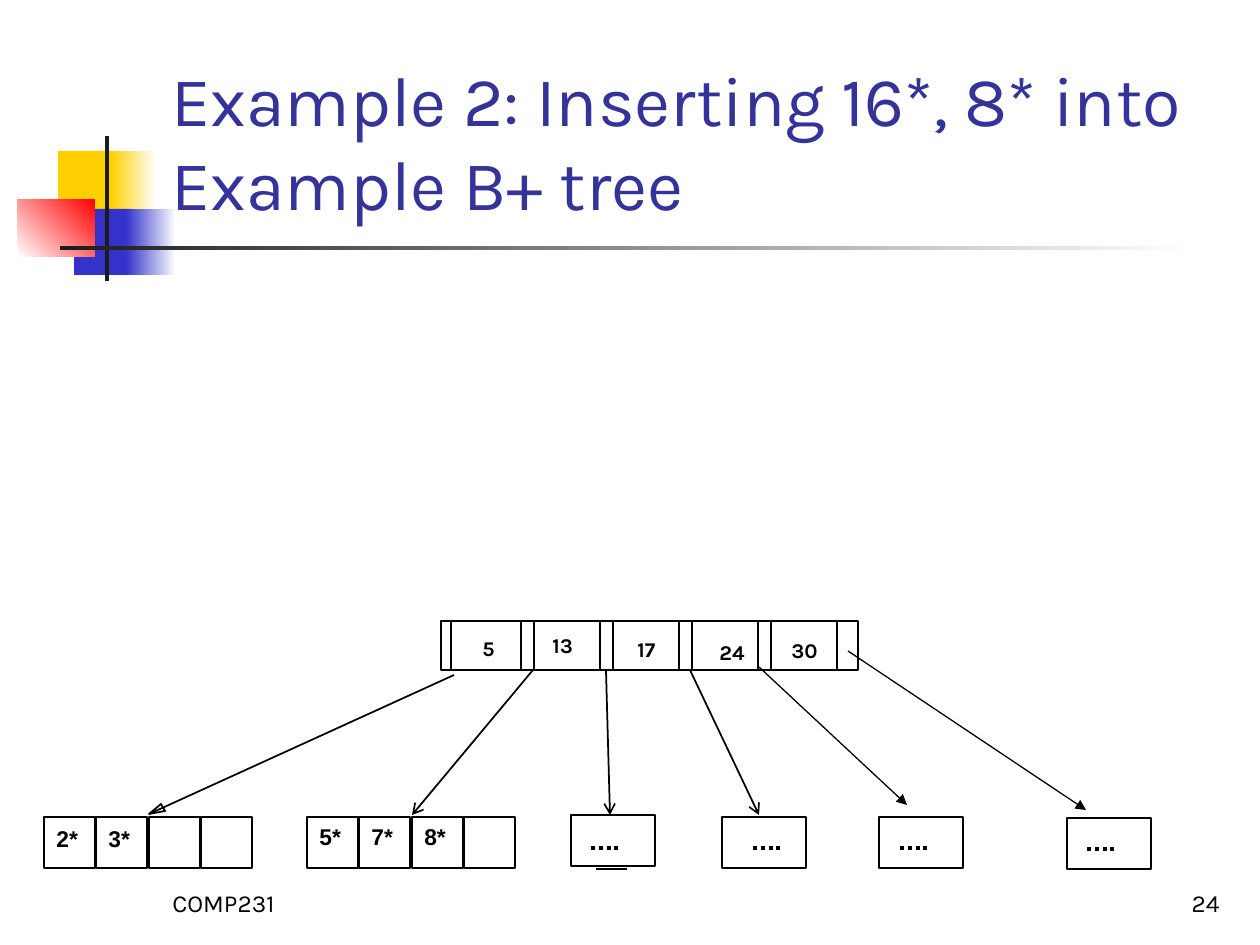
from lxml import etree
from pptx import Presentation
from pptx import util as u
from pptx.dml.color import RGBColor
from pptx.enum import dml, shapes, text
from pptx.oxml.ns import qn

EMU_PER_PX = 914400 / 126
COLORS = {
    "white": "FFFFFF", "black": "000000", "ink": "1C1C1C", "title": "333399",
    "yellow": "FFCF01", "blue": "3333CC", "red": "FF0000",
}
CELL = 51


def px(length):
    return u.Emu(round(length * EMU_PER_PX))


def rgb(name):
    return RGBColor.from_string(COLORS[name])


def add_text(slide, words, left, top, width, height, *, size, font="Karla", color="black",
             bold=False, align=text.PP_ALIGN.LEFT, anchor=text.MSO_ANCHOR.TOP, wrap=True):
    frame = slide.shapes.add_textbox(px(left), px(top), px(width), px(height)).text_frame
    frame.word_wrap = wrap
    frame.vertical_anchor = anchor
    paragraph = frame.paragraphs[0]
    paragraph.alignment = align
    run = paragraph.add_run()
    run.text = words
    run.font.size = u.Pt(size)
    run.font.name = font
    run.font.bold = bold
    run.font.color.rgb = rgb(color)


def add_box(slide, left, top, width, height, *, fill=None, fade=None, angle=0, line=None):
    box = slide.shapes.add_shape(shapes.MSO_SHAPE.RECTANGLE,
                                 px(left), px(top), px(width), px(height))
    box.shadow.inherit = False
    if fade:
        box.fill.gradient()
        box.fill.gradient_angle = angle
        for stop, name in zip(box.fill.gradient_stops, fade):
            stop.color.rgb = rgb(name)
    elif fill:
        box.fill.solid()
        box.fill.fore_color.rgb = rgb(fill)
    else:
        box.fill.background()
    if line:
        box.line.width = u.Pt(line)
        box.line.color.rgb = rgb("black")
    else:
        box.line.fill.background()


def add_line(slide, start, end, *, width=1, head=None, dash=None):
    line = slide.shapes.add_connector(shapes.MSO_CONNECTOR.STRAIGHT,
                                      *map(px, start + end))
    line.line.width = u.Pt(width)
    line.line.color.rgb = rgb("black")
    if dash:
        line.line.dash_style = dash
    properties = line._element.spPr
    if head:
        etree.SubElement(properties.find(qn("a:ln")), qn("a:tailEnd"), type=head)
    etree.SubElement(properties, qn("a:effectLst"))


def add_open_head(slide, points):
    builder = slide.shapes.build_freeform(*points[0], scale=EMU_PER_PX)
    builder.add_line_segments(points[1:], close=True)
    head = builder.convert_to_shape()
    head.shadow.inherit = False
    head.fill.background()
    head.line.width = u.Pt(1)
    head.line.color.rgb = rgb("black")


def add_decoration(slide):
    add_box(slide, 58, 151, 60, 66, fill="yellow")
    add_box(slide, 111, 151, 45, 66, fade=("yellow", "white"))
    add_box(slide, 74, 209, 58, 66, fill="blue")
    add_box(slide, 126, 209, 50, 66, fade=("blue", "white"))
    add_box(slide, 18, 199, 77, 58, fade=("white", "red"), angle=45)
    add_box(slide, 105, 136, 4, 145, fill="ink")
    add_box(slide, 60, 246, 1134, 4, fade=("ink", "white"))


def add_root(slide):
    top, height = 621, 49
    add_box(slide, 441, top, 417, height, fill="white", line=0.75)
    key_ends = [521 + 79 * i for i in range(5)]
    key_starts = [451] + [end + 13 for end in key_ends[:-1]]
    for x in sorted(key_starts + key_ends):
        add_line(slide, (x, top), (x, top + height), width=0.75)
    for key, left, key_top in [("5", 470, 629), ("13", 540, 626), ("17", 625, 630),
                               ("24", 707, 633), ("30", 779, 631)]:
        add_text(slide, key, left, key_top, 79, 38, size=12, bold=True)


def add_leaf(slide, left, entries, label_drop=0):
    top = 817
    for i in range(4):
        cell_left = left + 105 * i // 2
        add_box(slide, cell_left, top, CELL, CELL, line=1)
        if i < len(entries):
            add_text(slide, entries[i], cell_left, top + label_drop, 47, 39,
                     size=13, font="Arial", bold=True, wrap=False)


def add_elided_leaf(slide, left, top, dots_left, dots_y):
    add_box(slide, left, top, 84, CELL, line=1)
    add_line(slide, (dots_left, dots_y), (dots_left + 31, dots_y),
             width=2.25, dash=dml.MSO_LINE.ROUND_DOT)


def add_pointers(slide):
    add_line(slide, (454, 675), (149, 814))
    add_open_head(slide, [(165, 811), (149, 814), (161, 804)])
    for start, end in [((533, 670), (412, 815)), ((606, 670), (610, 815)),
                       ((690, 670), (759, 815))]:
        add_line(slide, start, end, head="arrow")
    for start, end in [((759, 667), (907, 805)), ((848, 651), (1086, 810))]:
        add_line(slide, start, end, width=0.75, head="triangle")


def main():
    deck = Presentation()
    deck.slide_width, deck.slide_height = px(1260), px(945)
    slide = deck.slides.add_slide(deck.slide_layouts[6])
    bottom = text.MSO_ANCHOR.BOTTOM

    add_decoration(slide)
    add_text(slide, "COMP231", 160, 861, 262, 63, size=14, anchor=bottom)
    add_text(slide, "24", 970, 861, 262, 63, size=14, anchor=bottom,
             align=text.PP_ALIGN.RIGHT)
    add_text(slide, "Example 2: Inserting 16*, 8* into Example B+ tree",
             159, 29, 1074, 202, size=40, color="title", anchor=bottom)

    add_root(slide)
    add_leaf(slide, 44, ["2*", "3*"], label_drop=2)
    add_leaf(slide, 307, ["5*", "7*", "8*"])
    for leaf in [(571, 815, 591, 848), (722, 817, 753, 848),
                 (879, 817, 900, 848), (1067, 818, 1087, 849)]:
        add_elided_leaf(slide, *leaf)
    add_line(slide, (596, 869), (627, 869))
    add_pointers(slide)
    deck.save("out.pptx")


if __name__ == "__main__":
    main()
